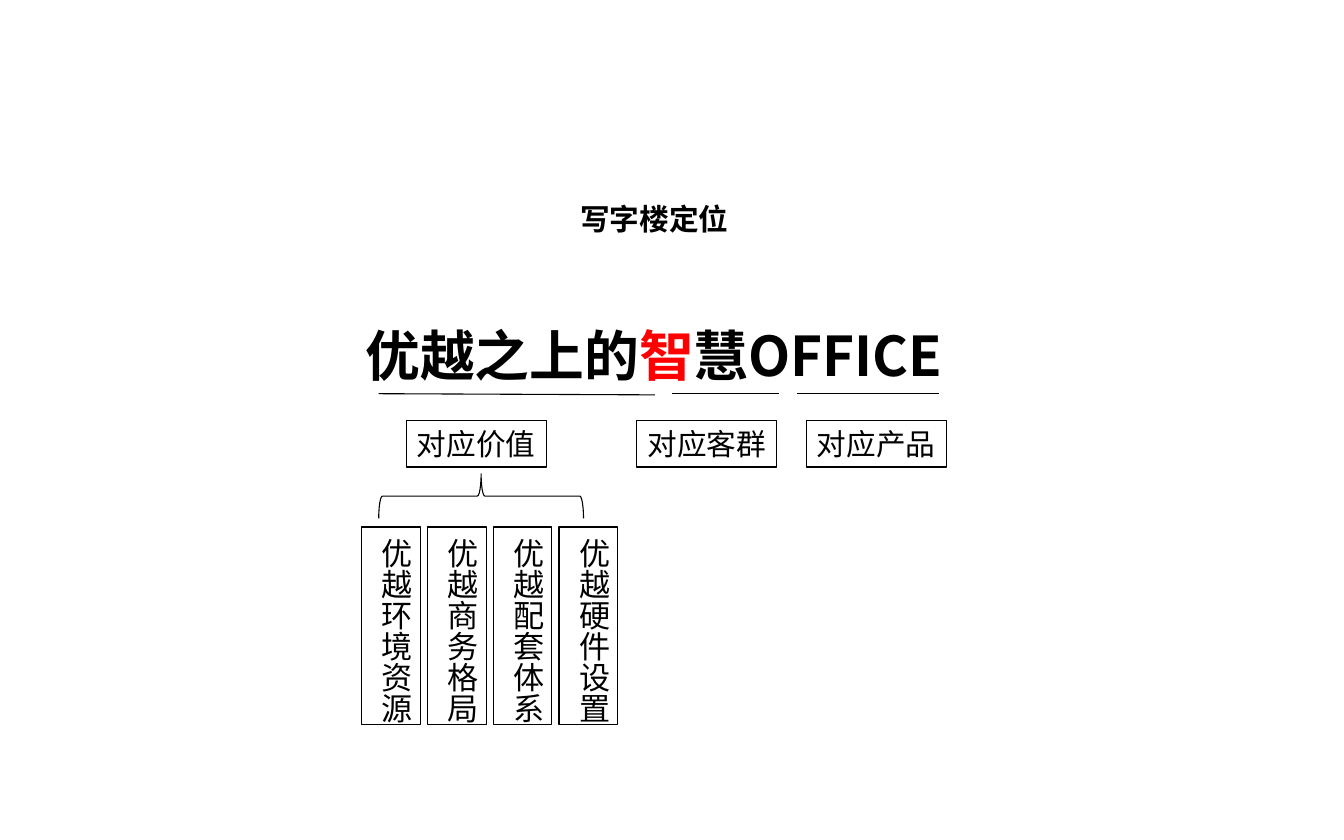
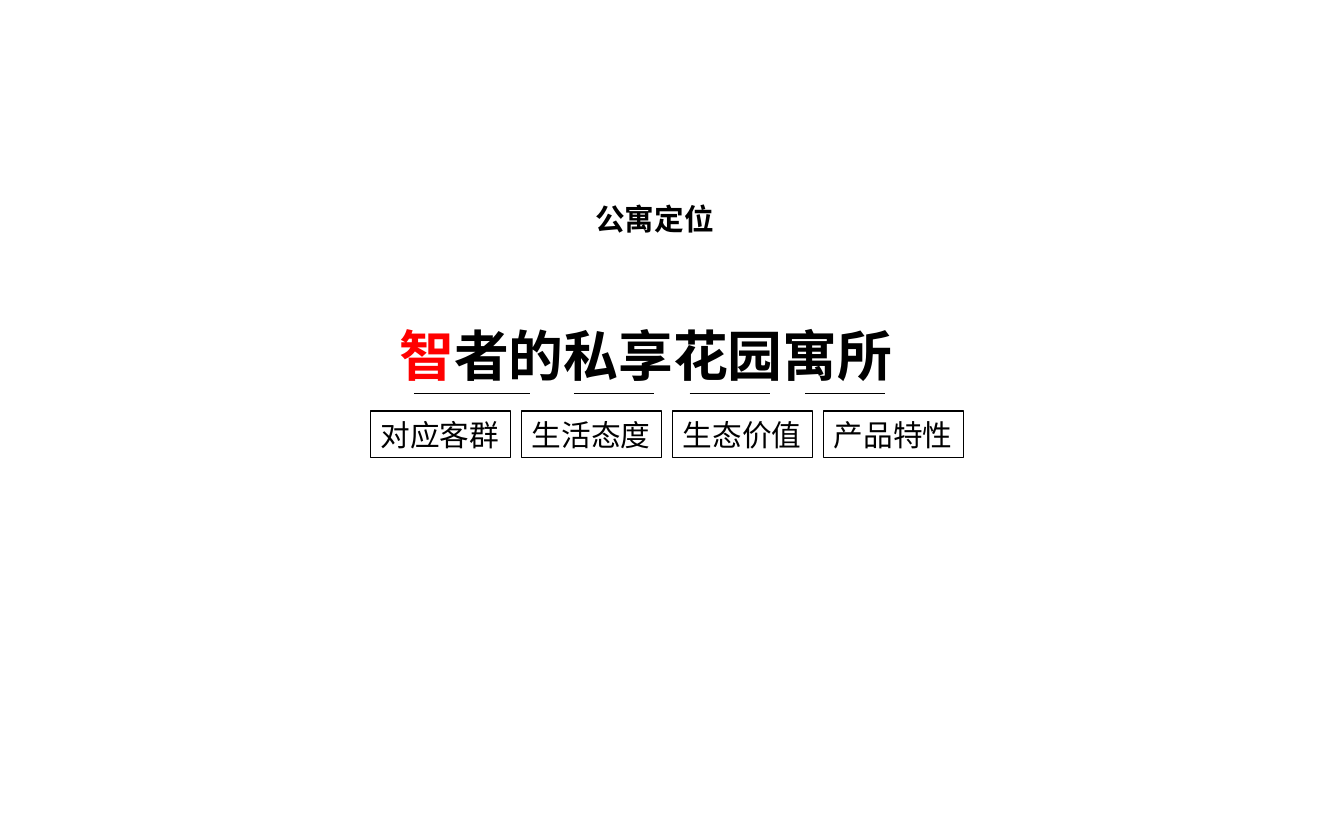
import pptx
import pptx.util
import pptx.dml.color
import pptx.enum.shapes
import pptx.enum.text
import pptx.oxml.ns
from lxml import etree

Pt = pptx.util.Pt
SHAPE = pptx.enum.shapes.MSO_SHAPE
ANCHOR = pptx.enum.text.MSO_ANCHOR
ALIGN = pptx.enum.text.PP_ALIGN
qn = pptx.oxml.ns.qn

BLACK, RED = "000000", "FF0000"
SANS, ARIAL = "Noto Sans CJK TC", "Arial"


def color(hex_text):
    return pptx.dml.color.RGBColor.from_string(hex_text)


def add_text(p, text, size=20, font=SANS, fill=BLACK, bold=False):
    r = p.add_run()
    r.text = text
    r.font.size = Pt(size)
    r.font.bold = bold
    r.font.color.rgb = color(fill)
    r.font.name = font
    # Chinese glyphs take their typeface from the East Asian slot
    ea = etree.SubElement(r.font._element, qn("a:ea"))
    ea.set("typeface", font)


class Deck:
    LINE_WIDTH = 0.75
    RULE_TOP = 265.7
    LABEL_SIZE = (94.5, 31.5)
    COLUMN_SIZE = (39.6, 133.2)

    def __init__(self, width, height):
        self.prs = pptx.Presentation()
        self.prs.slide_width, self.prs.slide_height = Pt(width), Pt(height)
        self.s = None

    def frame(self, sp, side, top, align=ALIGN.LEFT, anchor=ANCHOR.MIDDLE, wrap=True):
        tf = sp.text_frame
        tf.auto_size = pptx.enum.text.MSO_AUTO_SIZE.NONE
        tf.word_wrap = wrap
        tf.vertical_anchor = anchor
        tf.margin_left = tf.margin_right = Pt(side)
        tf.margin_top = tf.margin_bottom = Pt(top)
        p = tf.paragraphs[0]
        p.alignment = align
        return p

    def slide(self, title):
        self.s = self.prs.slides.add_slide(self.prs.slide_layouts[5])
        sp = self.s.shapes.title
        sp.left, sp.top, sp.width, sp.height = Pt(363.6), Pt(121.7), Pt(156.2), Pt(51.1)
        add_text(self.frame(sp, 8.6, 4.3, ALIGN.CENTER), title, bold=True)

    def headline(self, left, width, parts):
        sp = self.s.shapes.add_textbox(Pt(left), Pt(211.7), Pt(width), Pt(55.4))
        p = self.frame(sp, 8.6, 4.3, ALIGN.CENTER)
        for text, fill in parts:
            add_text(p, text, size=37, fill=fill, bold=True)

    def rule(self, left, right, drop=0):
        cn = self.s.shapes.add_connector(
            pptx.enum.shapes.MSO_CONNECTOR.STRAIGHT,
            Pt(left), Pt(self.RULE_TOP), Pt(right), Pt(self.RULE_TOP + drop))
        cn.line.color.rgb = color(BLACK)
        cn.line.width = Pt(self.LINE_WIDTH)
        etree.SubElement(cn.element.spPr, qn("a:effectLst"))

    def outline(self, kind, left, top, width, height):
        sp = self.s.shapes.add_shape(kind, Pt(left), Pt(top), Pt(width), Pt(height))
        sp.shadow.inherit = False
        sp.fill.background()
        sp.line.color.rgb = color(BLACK)
        sp.line.width = Pt(self.LINE_WIDTH)
        return sp

    def label(self, left, top, text):
        sp = self.outline(SHAPE.RECTANGLE, left, top, *self.LABEL_SIZE)
        add_text(self.frame(sp, 7.2, 3.6, wrap=False), text)

    def column(self, left, top, text):
        sp = self.outline(SHAPE.RECTANGLE, left, top, *self.COLUMN_SIZE)
        p = self.frame(sp, 3.6, 7.2, anchor=ANCHOR.TOP, wrap=False)
        sp.element.txBody.bodyPr.set("vert", "eaVert")
        add_text(p, text, size=21, font=ARIAL)

    def brace(self, left, top, width, height):
        # A left brace turned a quarter, so its point faces up
        sp = self.outline(SHAPE.LEFT_BRACE, left + (width - height) / 2,
                          top + (height - width) / 2, height, width)
        sp.rotation = 90


def office_slide(deck):
    deck.slide("写字楼定位")
    deck.headline(99.4, 684, [("优越之上的", BLACK), ("智", RED), ("慧OFFICE", BLACK)])

    # Underlines and the label below each
    for left, right, drop in [(255.6, 442, 0.8), (453.6, 525.6, 0), (537.8, 633.6, 0)]:
        deck.rule(left, right, drop)
    for left, text in [(274.2, "对应价值"), (429.9, "对应客群"), (544.2, "对应产品")]:
        deck.label(left, 283.7, text)

    # Values branching from the first label
    deck.brace(255.6, 319.7, 138.2, 30.2)
    values = ["优越环境资源", "优越商务格局", "优越配套体系", "优越硬件设置"]
    for i, text in enumerate(values):
        deck.column(244.1 + 44.4 * i, 355.7, text)


def apartment_slide(deck):
    deck.slide("公寓定位")
    deck.headline(213.8, 444.2, [("智", RED), ("者的私享花园寓所", BLACK)])

    # Underlines and an even row of labels
    deck.rule(279.4, 357.8)
    for i in range(3):
        deck.rule(387.4 + 78.1 * i, 441.4 + 78.1 * i)
    for i, text in enumerate(["对应客群", "生活态度", "生态价值", "产品特性"]):
        deck.label(249.8 + 102 * i, 277.4, text)


def main():
    deck = Deck(907.1, 566.9)
    office_slide(deck)
    apartment_slide(deck)
    deck.prs.save("out.pptx")


if __name__ == "__main__":
    main()
